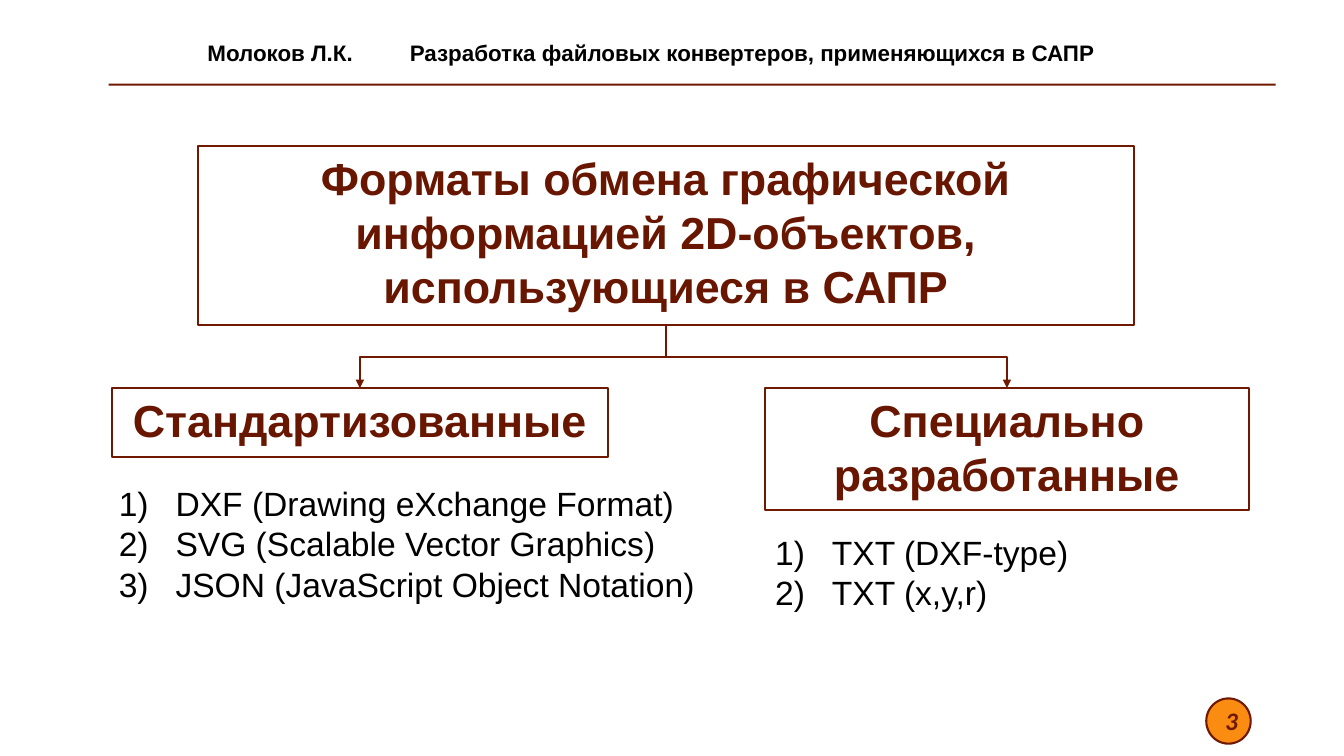
from pptx import Presentation
from pptx.dml.color import RGBColor
from pptx.enum.shapes import MSO_CONNECTOR, MSO_SHAPE
from pptx.enum.text import MSO_ANCHOR, MSO_AUTO_SIZE, PP_ALIGN
from pptx.oxml.ns import qn
from pptx.util import Cm, Pt
from lxml.etree import SubElement


def rgb(value):
    return RGBColor.from_string(value)


class FormatsSlide:
    LINE = "701800"
    HEADING = "681600"
    TEXT = "000000"
    ACCENT = "FA8C12"
    FONT = "Arial"

    def __init__(self, prs):
        self.s = prs.slides.add_slide(prs.slide_layouts[4])

    def place(self, sp, box):
        sp.left, sp.top, sp.width, sp.height = [Cm(v) for v in box]

    def outline(self, sp):
        sp.line.color.rgb = rgb(self.LINE)
        sp.line.width = Pt(1.5)

    def style_text(self, sp, text, size, color, align, anchor=MSO_ANCHOR.TOP,
                   bold=False, italic=False, font=FONT):
        tf = sp.text_frame
        tf.text = text
        tf.word_wrap = True
        tf.auto_size = MSO_AUTO_SIZE.NONE
        tf.vertical_anchor = anchor
        for p in tf.paragraphs:
            p.alignment = align
            p.space_before = Pt(0)
            for r in p.runs:
                r.font.name = font
                r.font.size = Pt(size)
                r.font.bold = bold
                r.font.italic = italic
                r.font.color.rgb = rgb(color)

    def shape(self, kind, box, fill):
        sp = self.s.shapes.add_shape(kind, *[Cm(v) for v in box])
        sp.shadow.inherit = False
        sp.fill.solid()
        sp.fill.fore_color.rgb = rgb(fill)
        return sp

    def rule(self, box):
        self.shape(MSO_SHAPE.RECTANGLE, box, self.LINE).line.fill.background()

    def badge(self, box):
        self.outline(self.shape(MSO_SHAPE.OVAL, box, self.ACCENT))

    def label(self, box, text, size, color, align, **style):
        sp = self.s.shapes.add_textbox(*[Cm(v) for v in box])
        self.style_text(sp, text, size, color, align, **style)
        return sp

    def header(self, box, text, stops):
        sp = self.label(box, text, 16, self.TEXT, PP_ALIGN.LEFT, bold=True)
        pPr = sp.text_frame.paragraphs[0]._p.get_or_add_pPr()
        tabs = SubElement(pPr, qn("a:tabLst"))
        for stop in stops:
            SubElement(tabs, qn("a:tab"), pos=str(Cm(stop)), algn="l")

    def heading(self, idx, box, text):
        sp = self.s.placeholders[idx]
        self.place(sp, box)
        self.outline(sp)
        self.style_text(sp, text, 32, self.HEADING, PP_ALIGN.CENTER, bold=True)
        return sp

    def numbered(self, idx, box, items):
        sp = self.s.placeholders[idx]
        self.place(sp, box)
        self.style_text(sp, "\n".join(items), 24, self.TEXT, PP_ALIGN.JUSTIFY)
        for p in sp.text_frame.paragraphs:
            pPr = p._p.get_or_add_pPr()
            pPr.set("marL", str(Cm(1.43)))
            pPr.set("indent", str(-Cm(1.43)))
            SubElement(pPr, qn("a:buFont"), typeface="+mj-lt")
            SubElement(pPr, qn("a:buAutoNum"), type="arabicParenR")

    def branch(self, parent, child):
        x1, y1 = parent.left + parent.width // 2, parent.top + parent.height
        x2, y2 = child.left + child.width // 2, child.top
        c = self.s.shapes.add_connector(MSO_CONNECTOR.ELBOW, x1, y1, x2, y2)
        c.begin_connect(parent, 2)
        c.end_connect(child, 0)
        self.outline(c)
        c.width, c.height = y2 - y1, abs(x2 - x1)
        c.left = (x1 + x2 - c.width) // 2
        c.top = (y1 + y2 - c.height) // 2
        to_right = x2 > x1
        spPr = c._element.spPr
        xfrm = spPr.find(qn("a:xfrm"))
        xfrm.set("rot", str((270 if to_right else 90) * 60000))
        xfrm.set("flipH", "1" if to_right else "0")
        SubElement(spPr.find(qn("a:ln")), qn("a:tailEnd"), type="triangle")
        SubElement(spPr, qn("a:effectLst"))


def main():
    prs = Presentation()
    prs.slide_width, prs.slide_height = Cm(33.87), Cm(19.05)
    slide = FormatsSlide(prs)

    slide.badge((30.4, 17.6, 1.12, 1.14))
    slide.rule((2.74, 2.11, 29.41, 0.05))
    slide.header((4.98, 0.86, 24.03, 0.94),
                 "Молоков Л.К.\t\tРазработка файловых конвертеров, применяющихся в САПР",
                 (4.5, 5.1))
    slide.label((23.93, 17.65, 7.52, 1.02), "3", 18, slide.LINE, PP_ALIGN.RIGHT,
                anchor=MSO_ANCHOR.MIDDLE, bold=True, italic=True, font="Calibri")

    formats = slide.heading(0, (4.98, 3.68, 23.6, 4.52),
                            "Форматы обмена графической информацией "
                            "2D-объектов, использующиеся в САПР")
    standard = slide.heading(1, (2.82, 9.78, 12.5, 1.73), "Стандартизованные")
    special = slide.heading(3, (19.28, 9.78, 12.19, 3.07), "Специально разработанные")
    for group in (standard, special):
        slide.branch(formats, group)

    slide.numbered(2, (2.74, 12.04, 15.06, 3.33),
                   ["DXF (Drawing eXchange Format)",
                    "SVG (Scalable Vector Graphics)",
                    "JSON (JavaScript Object Notation)"])
    slide.numbered(4, (19.28, 13.28, 12.19, 2.31),
                   ["TXT (DXF-type)", "TXT (x,y,r)"])
    prs.save("out.pptx")


if __name__ == "__main__":
    main()
